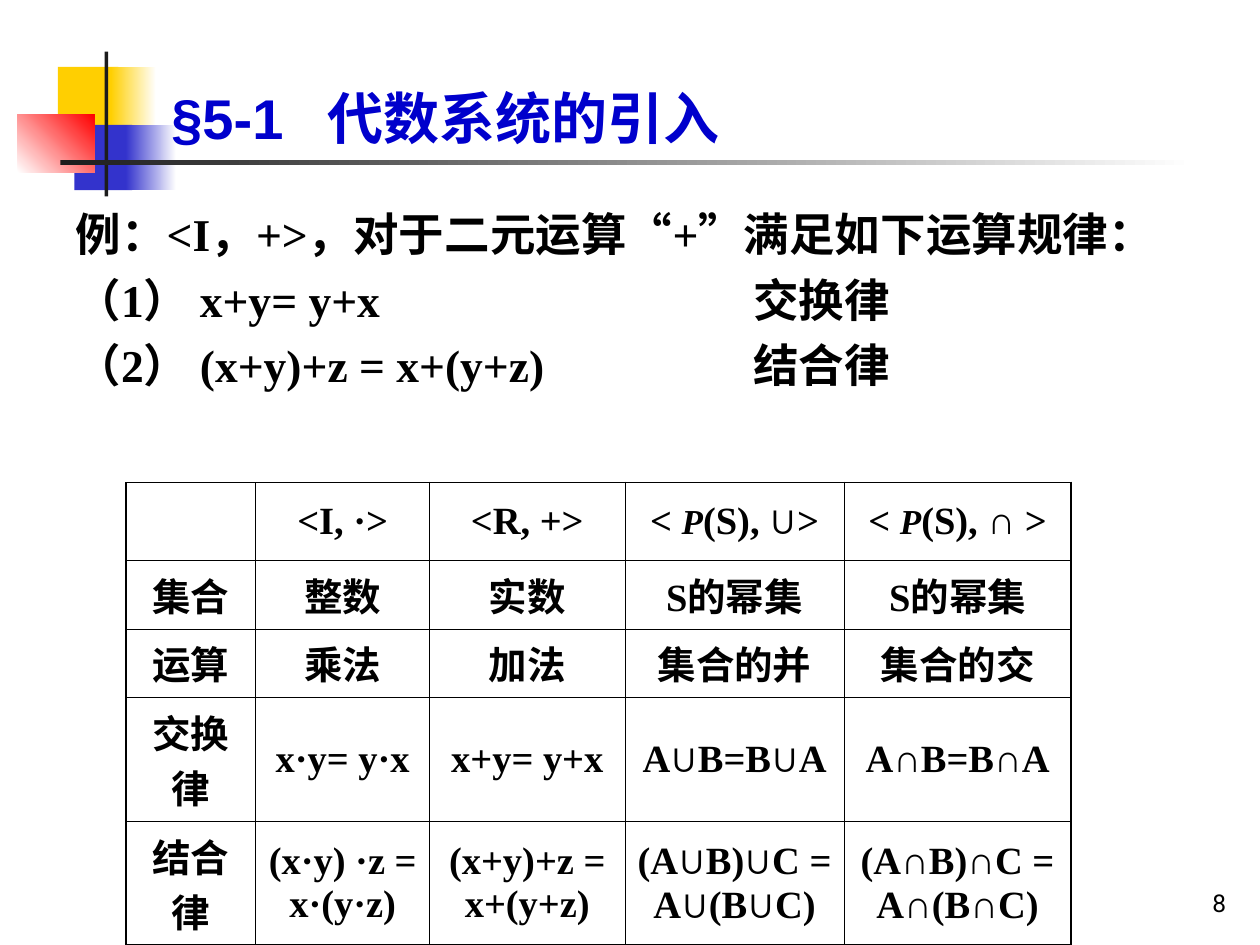
"""Build the slide on the introduction of algebraic systems."""
from dataclasses import dataclass
from itertools import groupby
from typing import Optional

from lxml.etree import SubElement
from pptx import Presentation
from pptx.dml.color import RGBColor
from pptx.enum.shapes import MSO_SHAPE
from pptx.enum.text import MSO_ANCHOR, MSO_AUTO_SIZE, PP_ALIGN
from pptx.oxml.ns import qn
from pptx.util import Inches, Pt

BLACK = RGBColor(0x00, 0x00, 0x00)
WHITE = RGBColor(0xFF, 0xFF, 0xFF)
GOLD = RGBColor(0xFF, 0xCF, 0x01)
BLUE = RGBColor(0x33, 0x33, 0xCC)
RED = RGBColor(0xFF, 0x00, 0x00)
DARK = RGBColor(0x1C, 0x1C, 0x1C)
NAVY = RGBColor(0x00, 0x00, 0xCC)
SERIF, SANS = "Times New Roman", "Arial"
THIN, THICK = Pt(0.45), Pt(1.08)
HANG, GAP = 0.38, 5


@dataclass
class Block:
    left: float
    top: float
    width: float
    height: float
    color: RGBColor
    fade: Optional[RGBColor] = None
    angle: float = 0


BLOCKS = [
    Block(0.46, 0.53, 0.48, 0.52, GOLD),
    Block(0.88, 0.53, 0.36, 0.52, GOLD, WHITE),
    Block(0.59, 0.99, 0.46, 0.52, BLUE),
    Block(1, 0.99, 0.4, 0.52, BLUE, WHITE),
    Block(0.14, 0.91, 0.61, 0.46, WHITE, RED, 45),
    Block(0.83, 0.41, 0.03, 1.15, DARK),
    Block(0.48, 1.27, 9, 0.04, DARK, WHITE),
]
LINES = [
    "例：<I，+>，对于二元运算“+”满足如下运算规律：",
    "（1） x+y= y+x\t交换律",
    "（2） (x+y)+z = x+(y+z)\t结合律",
]
COLS = [1.03, 1.38, 1.55, 1.74, 1.8]
ROWS = [0.62, 0.47, 0.47, 0.47, 0.83]
CELLS = [
    ["", "<I, ·>", "<R, +>", "< P(S), ∪>", "< P(S), ∩ >"],
    ["集合", "整数", "实数", "S的幂集", "S的幂集"],
    ["运算", "乘法", "加法", "集合的并", "集合的交"],
    ["交换律", "x·y= y·x", "x+y= y+x", "A∪B=B∪A", "A∩B=B∩A"],
    ["结合律", "(x·y) ·z = x·(y·z)", "(x+y)+z = x+(y+z)",
     "(A∪B)∪C = A∪(B∪C)", "(A∩B)∩C = A∩(B∩C)"],
]


def style(run, font: str, size: float, color=BLACK, bold=True) -> None:
    run.font.name, run.font.size, run.font.bold = font, Pt(size), bold
    run.font.color.rgb = color


def place(shape, left: float, top: float, width: float, height: float) -> None:
    shape.left, shape.top = Inches(left), Inches(top)
    shape.width, shape.height = Inches(width), Inches(height)


def add_tab(para, pos: float) -> None:
    tabs = SubElement(para._p.get_or_add_pPr(), qn("a:tabLst"))
    SubElement(tabs, qn("a:tab"), pos=str(Inches(pos)), algn="l")


def draw_block(slide, block: Block) -> None:
    shape = slide.shapes.add_shape(MSO_SHAPE.RECTANGLE, 0, 0, 0, 0)
    place(shape, block.left, block.top, block.width, block.height)
    shape.shadow.inherit = False
    shape.line.fill.background()
    if block.fade is None:
        shape.fill.solid()
        shape.fill.fore_color.rgb = block.color
        return
    shape.fill.gradient()
    shape.fill.gradient_angle = block.angle
    for stop, color in zip(shape.fill.gradient_stops, (block.color, block.fade)):
        stop.color.rgb = color


def draw_page(slide) -> None:
    box = slide.shapes.add_textbox(Inches(7.75), Inches(6.83), Inches(2.08), Inches(0.5))
    frame = box.text_frame
    frame.word_wrap = True
    frame.vertical_anchor = MSO_ANCHOR.BOTTOM
    frame.text = "8"
    para = frame.paragraphs[0]
    para.alignment = PP_ALIGN.RIGHT
    style(para.runs[0], "Roboto", 14, bold=False)


def draw_title(slide) -> None:
    title = slide.shapes.title
    slide.shapes.element.append(title.element)
    place(title, 1.26, 0, 8.52, 1.25)
    frame = title.text_frame
    frame.auto_size = MSO_AUTO_SIZE.NONE
    frame.vertical_anchor = MSO_ANCHOR.BOTTOM
    frame.text = "§5-1\t代数系统的引入"
    para = frame.paragraphs[0]
    para.alignment = PP_ALIGN.LEFT
    add_tab(para, 1.24)
    for run in para.runs:
        style(run, SANS, 32, NAVY)


def draw_body(slide) -> None:
    body = slide.placeholders[1]
    slide.shapes.element.append(body.element)
    place(body, 0.5, 1.5, 8.58, 2.33)
    frame = body.text_frame
    frame.auto_size = MSO_AUTO_SIZE.NONE
    frame.text = "\n".join(LINES)
    for para in frame.paragraphs:
        para.line_spacing = 1.2
        para.space_before = Pt(0)
        props = para._p.get_or_add_pPr()
        props.set("marL", str(Inches(HANG)))
        props.set("indent", str(-Inches(HANG)))
        props.set("defTabSz", str(Inches(GAP)))
        SubElement(props, qn("a:buNone"))
        add_tab(para, HANG + GAP)
        for run in para.runs:
            style(run, SERIF, 26)


def fill_cell(cell, text: str) -> None:
    cell.vertical_anchor = MSO_ANCHOR.MIDDLE
    para = cell.text_frame.paragraphs[0]
    para.alignment = PP_ALIGN.CENTER
    para.space_before = Pt(5.5)
    for mark, chars in groupby(text, lambda char: char if char in "P∪∩" else ""):
        run = para.add_run()
        run.text = "".join(chars)
        style(run, SANS if mark in ("∪", "∩") else SERIF, 20 if mark == "P" else 22)
        if mark == "P":
            run.font.italic = True


def edge_cell(cell, row: int, col: int) -> None:
    outer = {
        "L": col == 0,
        "R": col == len(COLS) - 1,
        "T": row == 0 and col > 0,
        "B": row == len(ROWS) - 1,
    }
    props = cell._tc.get_or_add_tcPr()
    for side, thick in outer.items():
        line = SubElement(props, qn("a:ln" + side), w=str(THICK if thick else THIN))
        fill = SubElement(line, qn("a:solidFill"))
        SubElement(fill, qn("a:srgbClr"), val=str(BLACK))
    cell.fill.background()


def draw_table(slide) -> None:
    table = slide.shapes.add_table(
        len(ROWS), len(COLS), Inches(1), Inches(3.83),
        Inches(sum(COLS)), Inches(sum(ROWS))).table
    table.first_row = table.horz_banding = False
    for col, width in zip(table.columns, COLS):
        col.width = Inches(width)
    for row, height in zip(table.rows, ROWS):
        row.height = Inches(height)
    for row, texts in enumerate(CELLS):
        for col, text in enumerate(texts):
            cell = table.cell(row, col)
            fill_cell(cell, text)
            edge_cell(cell, row, col)


def main() -> None:
    deck = Presentation()
    deck.slide_width, deck.slide_height = Inches(10), Inches(7.5)
    slide = deck.slides.add_slide(deck.slide_layouts[1])
    for block in BLOCKS:
        draw_block(slide, block)
    draw_page(slide)
    draw_title(slide)
    draw_body(slide)
    draw_table(slide)
    deck.save("out.pptx")


if __name__ == "__main__":
    main()
